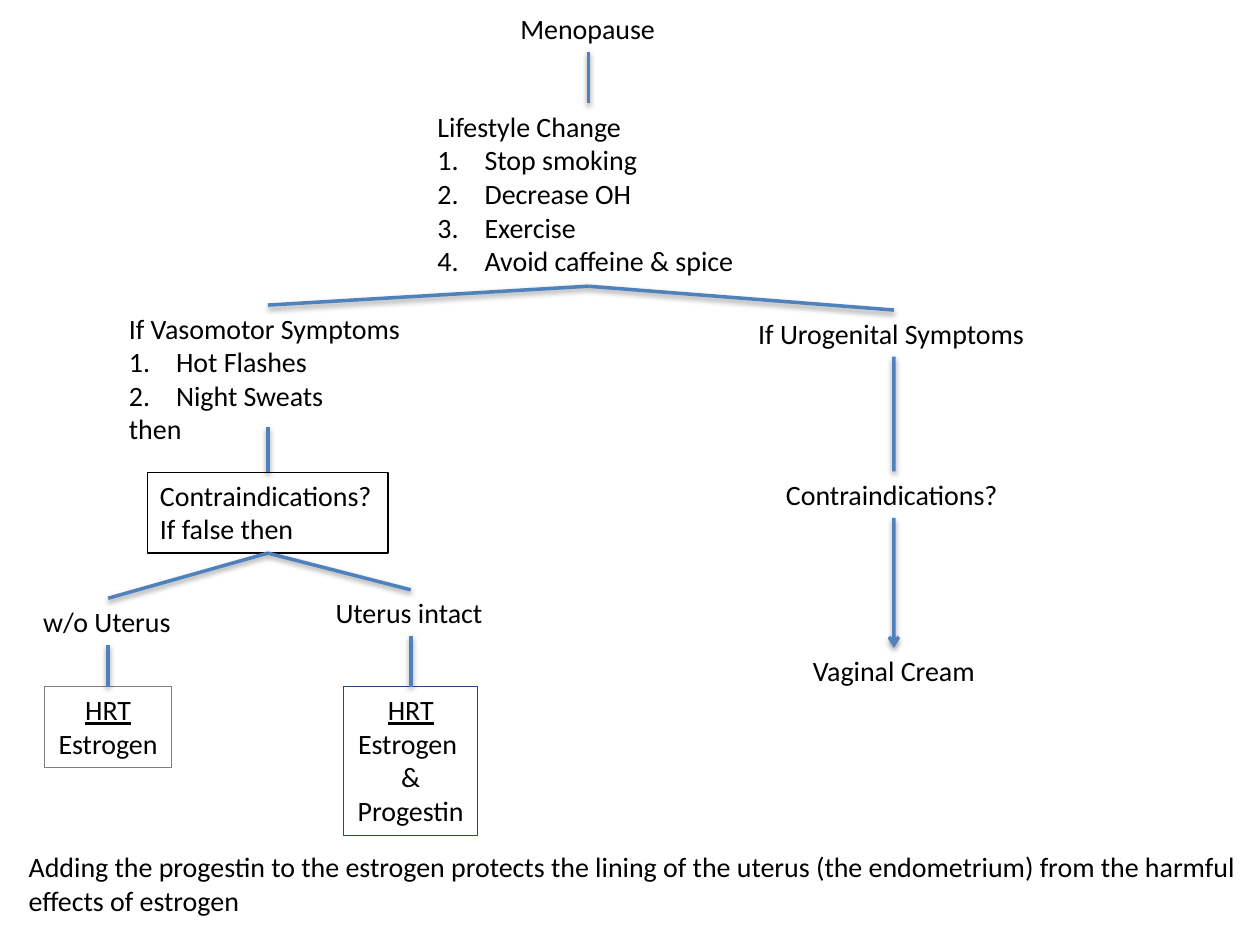
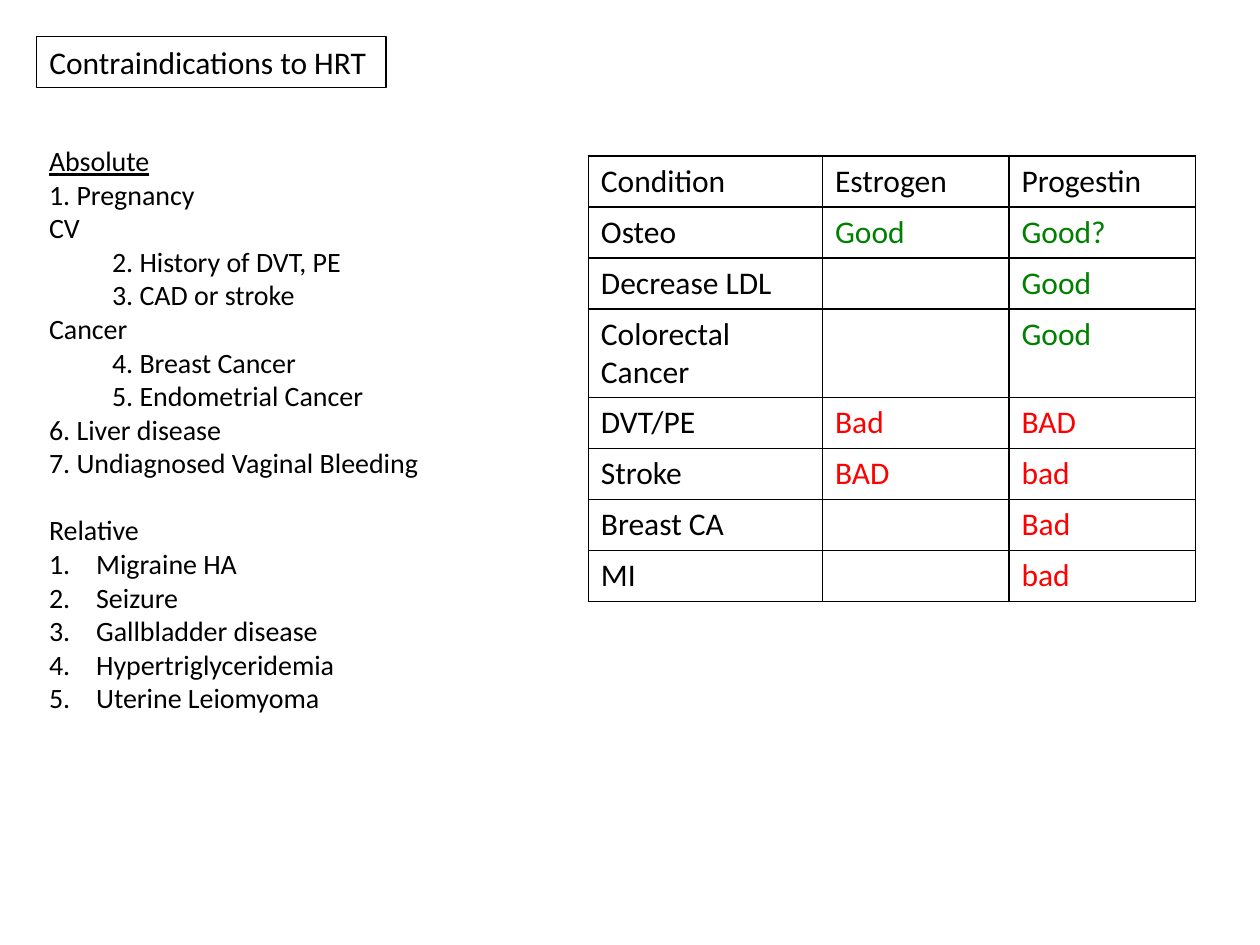
from collections import namedtuple

from lxml import etree
from pptx import Presentation
from pptx import util as u
from pptx.dml.color import RGBColor
from pptx.enum import shapes, text
from pptx.oxml import ns, parse_xml

BLACK = RGBColor(0x00, 0x00, 0x00)
BLUE = RGBColor(0x4F, 0x81, 0xBD)
NAVY = RGBColor(0x1F, 0x49, 0x7D)
GREY = RGBColor(0x7F, 0x7F, 0x7F)
GREEN = RGBColor(0x00, 0x80, 0x00)
RED = RGBColor(0xFF, 0x00, 0x00)
FONT = "Calibri"
LEFT, CENTER = text.PP_ALIGN.LEFT, text.PP_ALIGN.CENTER
FIXED, GROWING = text.MSO_AUTO_SIZE.NONE, text.MSO_AUTO_SIZE.SHAPE_TO_FIT_TEXT
TOP, BOTTOM = 0, 2
LINE_HEIGHT = 0.94
RATINGS = {"good": GREEN, "bad": RED}
SHADOW = (
    f'<a:effectLst {ns.nsdecls("a")}>'
    '<a:outerShdw blurRad="40000" dist="20000" dir="5400000" rotWithShape="0">'
    '<a:srgbClr val="000000"><a:alpha val="38000"/></a:srgbClr>'
    '</a:outerShdw></a:effectLst>'
)

Box = namedtuple("Box", "left top width height")


def styled(*texts, **style):
    """Pair each text with the same paragraph format."""
    return [(line, style) for line in texts]


def write_para(para, words, size=16, color=BLACK, align=LEFT, underline=False,
               numbered=False, indent=0, before=0):
    """Write one formatted paragraph."""
    para.alignment = align
    para.space_before = u.Pt(before)
    properties = para._p.get_or_add_pPr()
    if numbered:
        properties.set("marL", str(u.Cm(0.95)))
        properties.set("indent", str(-u.Cm(0.95)))
        etree.SubElement(properties, ns.qn("a:buFont"), typeface="+mj-lt")
        etree.SubElement(properties, ns.qn("a:buAutoNum"), type="arabicPeriod")
    elif indent:
        properties.set("marL", str(u.Cm(indent)))
    span = para.add_run()
    span.text = words
    span.font.name = FONT
    span.font.size = u.Pt(size)
    span.font.color.rgb = color
    span.font.underline = underline


def write_lines(frame, lines, **common):
    """Fill a text frame with styled lines."""
    for index, (words, style) in enumerate(lines):
        para = frame.add_paragraph() if index else frame.paragraphs[0]
        write_para(para, words, **{**common, **style})


def format_node(node, lines, outline=None, wrap=False, fit=GROWING, **common):
    """Set the text, fit and outline of a box."""
    frame = node.text_frame
    frame.word_wrap = wrap
    frame.auto_size = fit
    frame.vertical_anchor = text.MSO_ANCHOR.TOP
    write_lines(frame, lines, **common)
    if outline is not None:
        node.line.color.rgb = outline
        node.line.width = u.Pt(0.75)
    return node


def add_node(page, box, lines, **style):
    """Add a text box with styled lines."""
    node = page.shapes.add_textbox(*map(u.Cm, box))
    return format_node(node, lines, **style)


def add_title(page, box, words, **style):
    """Move and format the title placeholder at a fixed size."""
    title = page.shapes.title
    title.left, title.top, title.width, title.height = map(u.Cm, box)
    return format_node(title, styled(words), fit=FIXED, **style)


def centred(centre, top, width, height=LINE_HEIGHT):
    """Return a box around a vertical centre line."""
    return Box(centre - width / 2, top, width, height)


def join(page, upper, lower, arrow=False, start=None):
    """Link two boxes, starting at the upper one's bottom or a given height."""
    middle = upper.left + upper.width // 2
    link = page.shapes.add_connector(
        shapes.MSO_CONNECTOR.STRAIGHT, middle, start or upper.top, middle, lower.top)
    if start is None:
        link.begin_connect(upper, BOTTOM)
    link.end_connect(lower, TOP)
    link.line.color.rgb = BLUE
    link.line.width = u.Pt(2)
    if arrow:
        etree.SubElement(link.line._get_or_add_ln(), ns.qn("a:tailEnd"), type="arrow")
    link._element.spPr.append(parse_xml(SHADOW))


def add_first_steps(page, box):
    """Place the root and the lifestyle advice; return the latter."""
    centre = box.left + box.width / 2
    root = add_title(page, centred(centre, box.top, 3.25), "Menopause")
    lifestyle = add_node(
        page, centred(centre, box.top + 1.98, box.width, 3.69),
        styled("Lifestyle Change")
        + styled("Stop smoking", "Decrease OH", "Exercise",
                 "Avoid caffeine & spice", numbered=True))
    join(page, root, lifestyle)
    return lifestyle


def add_vasomotor_branch(page, box, parent):
    """Place the vasomotor path with its two treatments."""
    centre = box.left + 4.8
    symptoms = add_node(
        page, centred(centre, box.top, 6.1, 3),
        styled("If Vasomotor Symptoms")
        + styled("Hot Flashes", "Night Sweats", numbered=True) + styled("then"))
    check = add_node(page, centred(centre, box.top + 3.37, 4.85, 1.63),
                     styled("Contraindications?", "If false then"), outline=BLACK)
    join(page, parent, symptoms)
    join(page, symptoms, check, start=u.Cm(box.top + 2.46))
    treatments = [
        (1.58, 5.91, 3.12, "w/o Uterus", 2.57, 1.63, GREY, ["Estrogen"]),
        (7.68, 5.74, 3.53, "Uterus intact", 2.7, 3, NAVY,
         ["Estrogen ", "&", "Progestin"]),
    ]
    for offset, drop, width, case, dose_width, dose_height, outline, drugs in treatments:
        column = box.left + offset
        patient = add_node(page, centred(column, box.top + drop, width), styled(case))
        dose = add_node(
            page, centred(column, box.top + 7.69, dose_width, dose_height),
            styled("HRT", underline=True) + styled(*drugs),
            outline=outline, align=CENTER)
        join(page, check, patient)
        join(page, patient, dose)


def add_urogenital_branch(page, box, parent):
    """Place the urogenital path as one column."""
    centre = box.left + box.width / 2
    symptoms = add_node(page, centred(centre, box.top, 5.97),
                        styled("If Urogenital Symptoms"))
    check = add_node(page, centred(centre, box.top + 3.25, 4.85),
                     styled("Contraindications?"))
    cream = add_node(page, centred(centre, box.top + 6.81, box.width),
                     styled("Vaginal Cream"), wrap=True, align=CENTER)
    join(page, parent, symptoms)
    join(page, symptoms, check)
    join(page, check, cream, arrow=True)


def add_contraindication_list(page, box):
    """Place the absolute and relative contraindications."""
    lines = (
        styled("Absolute", underline=True)
        + styled("1. Pregnancy", "CV")
        + styled("2. History of DVT, PE", "3. CAD or stroke", indent=1.27)
        + styled("Cancer")
        + styled("4. Breast Cancer", "5. Endometrial Cancer", indent=1.27)
        + styled("6. Liver disease", "7. Undiagnosed Vaginal Bleeding")
        + styled("Relative", before=19.2)
        + styled("Migraine HA", "Seizure", "Gallbladder disease",
                 "Hypertriglyceridemia", "Uterine Leiomyoma", numbered=True))
    add_node(page, box, lines)


def border_cell(cell):
    """Draw a black line on every side of a cell and clear its fill."""
    properties = cell._tc.get_or_add_tcPr()
    for side in ("lnL", "lnR", "lnT", "lnB"):
        properties.append(parse_xml(
            f'<a:{side} {ns.nsdecls("a")} w="12700"><a:solidFill>'
            f'<a:srgbClr val="{BLACK}"/></a:solidFill></a:{side}>'))
    cell.fill.background()


def add_effect_table(page, box):
    """Place the table of hormone effects by condition."""
    rows = [
        ("Condition", "Estrogen", "Progestin"),
        ("Osteo", "Good", "Good?"),
        ("Decrease LDL", "", "Good"),
        ("Colorectal\nCancer", "", "Good"),
        ("DVT/PE", "Bad", "BAD"),
        ("Stroke", "BAD", "bad"),
        ("Breast CA", "", "Bad"),
        ("MI", "", "bad"),
    ]
    widths = (4.72, 3.76, 3.76)
    table = page.shapes.add_table(len(rows), len(widths), *map(u.Cm, box)).table
    table.first_row = table.horz_banding = False
    for column, width in zip(table.columns, widths):
        column.width = u.Cm(width)
    for row, values in zip(table.rows, rows):
        row.height = u.Cm(1.78 if "\n" in values[0] else 1.03)
        for cell, value in zip(row.cells, values):
            border_cell(cell)
            if value:
                color = RATINGS.get(value.lower().rstrip("?"), BLACK)
                write_lines(cell.text_frame, styled(*value.split("\n")),
                            size=18, color=color)


def build_flow_page(page):
    """Build the treatment flow chart."""
    lifestyle = add_first_steps(page, Box(8.57, 0.1, 6.58, 5.67))
    add_vasomotor_branch(page, Box(0.6, 6.15, 9.2, 10.7), lifestyle)
    add_urogenital_branch(page, Box(14.72, 6.25, 6.6, 7.75), lifestyle)
    add_node(page, Box(0.33, 17, 25.07, 1.63), styled(
        "Adding the progestin to the estrogen protects the lining of the uterus "
        "(the endometrium) from the harmful effects of estrogen"), wrap=True)


def build_contraindication_page(page):
    """Build the contraindications list and table."""
    add_title(page, Box(0.74, 0.74, 7.04, 1.02), "Contraindications to HRT",
              size=18, outline=BLACK)
    add_contraindication_list(page, Box(0.74, 2.77, 8.08, 11.89))
    add_effect_table(page, Box(11.86, 3.14, 12.24, 8.99))


def main():
    """Build and save the deck."""
    deck = Presentation()
    deck.slide_width, deck.slide_height = u.Cm(25.4), u.Cm(19.05)
    for build in (build_flow_page, build_contraindication_page):
        build(deck.slides.add_slide(deck.slide_layouts[5]))
    deck.save("out.pptx")


if __name__ == "__main__":
    main()
